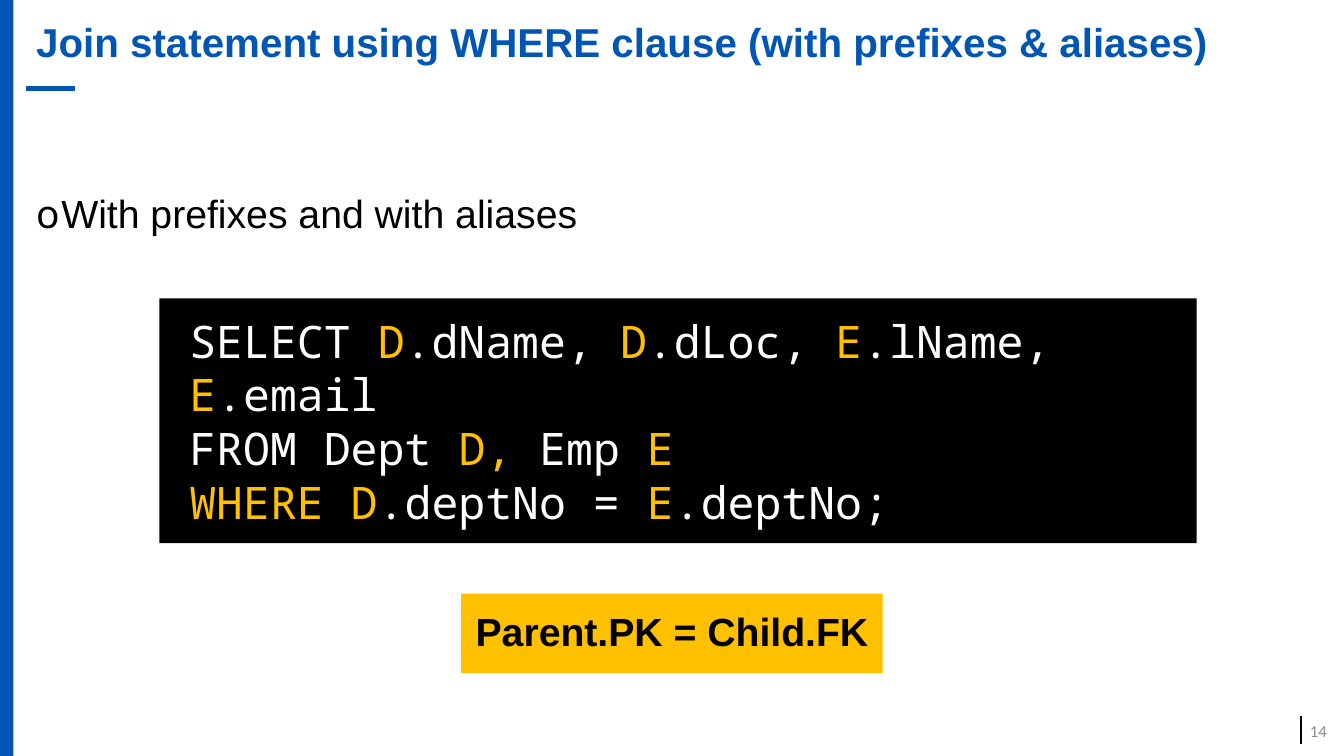
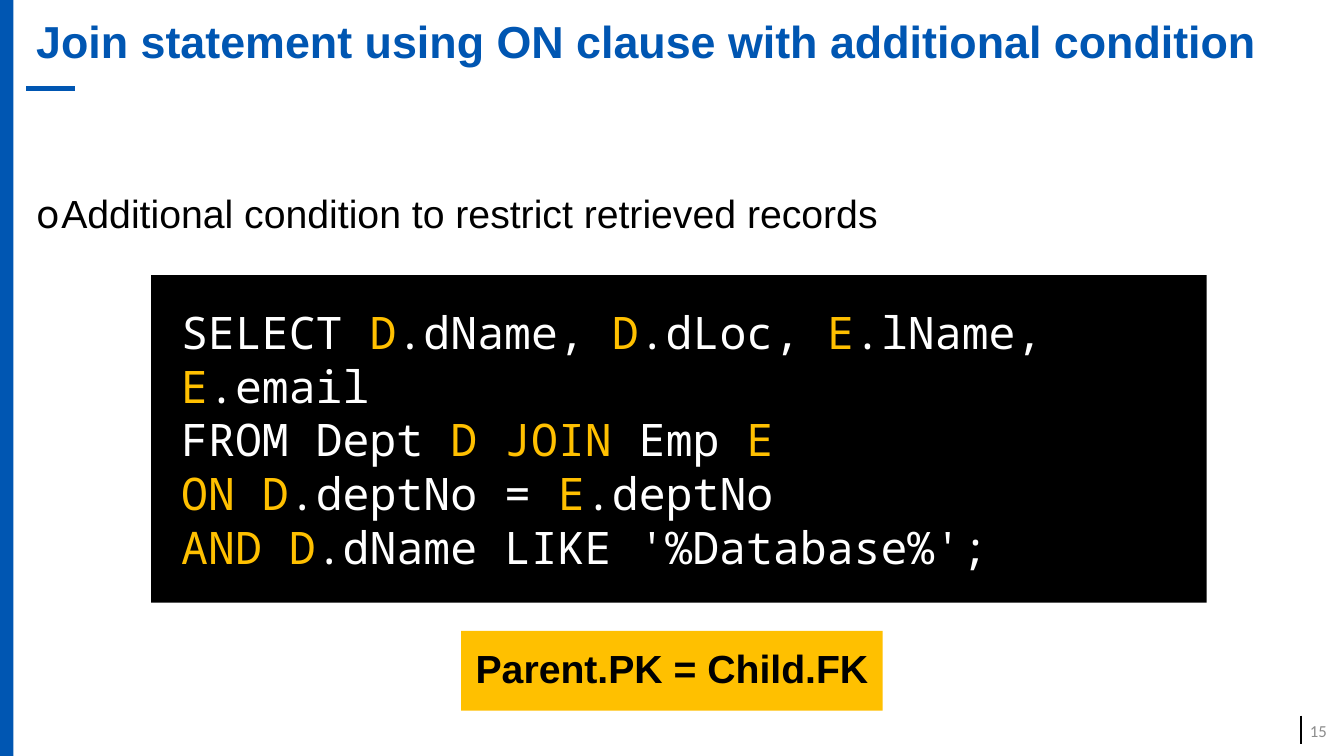
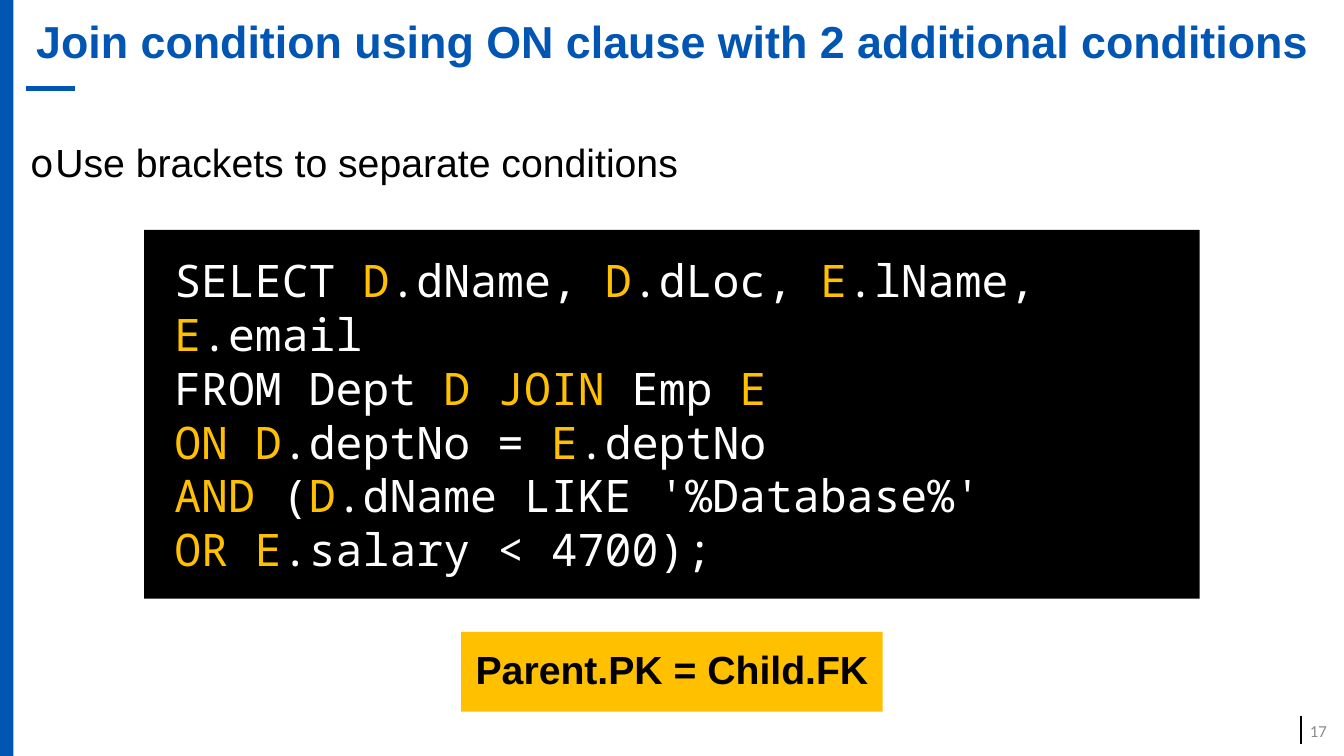
from dataclasses import dataclass
from typing import Any, NamedTuple

from lxml import etree
from pptx import Presentation
from pptx import util as u
from pptx.dml.color import RGBColor
from pptx.enum import shapes, text
from pptx.oxml import ns

WIDTH, HEIGHT = u.Inches(13.33), u.Inches(7.5)

BLUE = RGBColor(0x00, 0x56, 0xB2)
AMBER = RGBColor(0xFF, 0xC0, 0x00)
BLACK = RGBColor(0x00, 0x00, 0x00)
WHITE = RGBColor(0xFF, 0xFF, 0xFF)
GREY = RGBColor(0x8C, 0x8C, 0x8C)


class Box(NamedTuple):
    """Left, top, width and height in hundredths of the slide."""
    left: float
    top: float
    width: float
    height: float

    def lengths(self) -> list[int]:
        return [int(share * side / 100)
                for share, side in zip(self, (WIDTH, HEIGHT, WIDTH, HEIGHT))]


class Rule(NamedTuple):
    box: Box
    color: RGBColor
    weight: float


@dataclass(frozen=True)
class Style:
    font: dict[str, Any]
    color: RGBColor
    paragraph: dict[str, Any]
    anchor: text.MSO_ANCHOR = text.MSO_ANCHOR.MIDDLE
    highlight: RGBColor = AMBER
    indent: float = 0
    bullet: str = ""


@dataclass(frozen=True)
class JoinSlide:
    number: int
    title: str
    title_size: float
    point: str
    point_at: tuple[float, float]
    code: list[str]
    code_box: Box
    key_top: float


LEFT_TEXT = {"alignment": text.PP_ALIGN.LEFT}
TITLE = Style({"name": "Arial", "bold": True}, BLUE, {**LEFT_TEXT, "line_spacing": 0.9})
POINT = Style({"name": "Arial", "size": u.Pt(28)}, BLACK, {**LEFT_TEXT, "line_spacing": 0.9},
              anchor=text.MSO_ANCHOR.TOP, indent=0.25, bullet="o")
CODE = Style({"name": "Noto Sans Mono", "size": u.Pt(32)}, WHITE, LEFT_TEXT, indent=0.2)
KEY = Style({"name": "Arial", "size": u.Pt(28), "bold": True}, BLACK,
            {"alignment": text.PP_ALIGN.CENTER, "line_spacing": 0.9})
NUMBER = Style({"name": "Calibri", "size": u.Pt(12)}, GREY,
               {"alignment": text.PP_ALIGN.RIGHT})

SIDE_BAND = Box(0, 0, 1, 100)
TITLE_BOX = Box(1.95, 0, 97.05, 11.73)
NUMBER_BOX = Box(96.32, 94, 3.15, 5.33)
POINT_SIZE = (97.05, 7.6)
KEY_SIZE = (31.36, 10.53)
RULES = [
    Rule(Box(96.77, 94.67, 0, 3.73), BLACK, 1.5),
    Rule(Box(1.95, 11.73, 3.6, 0), BLUE, 4),
]

MARK = "|"
SELECT = "SELECT |D|.dName, |D|.dLoc, |E|.lName, |E|.email"
JOIN = [SELECT, "FROM Dept |D JOIN| Emp |E", "|ON D|.deptNo = |E|.deptNo"]

JOIN_SLIDES = [
    JoinSlide(14, "Join statement using WHERE clause (with prefixes & aliases)", 28.8,
              "With prefixes and with aliases", (1.95, 25.07),
              [SELECT, "FROM Dept |D,| Emp |E", "|WHERE D|.deptNo = |E|.deptNo;"],
              Box(11.85, 39.47, 77.19, 32.4), 78.53),
    JoinSlide(15, "Join statement using ON clause with additional condition", 32,
              "Additional condition to restrict retrieved records", (1.95, 25.07),
              [*JOIN, "|AND D|.dName LIKE '%Database%';"],
              Box(11.25, 36.4, 78.54, 43.33), 83.47),
    JoinSlide(17, "Join condition using ON clause with 2 additional conditions", 32,
              "Use brackets to separate conditions", (1.5, 18.4),
              [*JOIN, "|AND| (|D|.dName LIKE '%Database%'", "|OR E|.salary < 4700);"],
              Box(10.73, 30.4, 78.54, 48.8), 83.6),
]


def apply_format(target: Any, values: dict[str, Any]) -> None:
    for name, value in values.items():
        setattr(target, name, value)


def set_indent(paragraph: Any, style: Style) -> None:
    properties = paragraph._p.get_or_add_pPr()
    margin = u.Inches(style.indent)
    properties.set("marL", str(margin))
    properties.set("indent", str(-margin if style.bullet else 0))
    if style.bullet:
        for tag, name, value in (("a:buFont", "typeface", "Noto Sans Mono"),
                                 ("a:buChar", "char", style.bullet)):
            etree.SubElement(properties, ns.qn(tag)).set(name, value)


def write(shape: Any, lines: list[str], style: Style) -> None:
    frame = shape.text_frame
    apply_format(frame, {"word_wrap": True, "vertical_anchor": style.anchor})
    for index, line in enumerate(lines):
        paragraph = frame.add_paragraph() if index else frame.paragraphs[0]
        set_indent(paragraph, style)
        apply_format(paragraph, style.paragraph)
        for position, piece in enumerate(line.split(MARK)):
            if piece:
                run = paragraph.add_run()
                run.text = piece
                apply_format(run.font, style.font)
                run.font.color.rgb = style.highlight if position % 2 else style.color


def add_text(slide: Any, box: Box, line: str, style: Style) -> Any:
    shape = slide.shapes.add_textbox(*box.lengths())
    write(shape, [line], style)
    return shape


def add_panel(slide: Any, box: Box, color: RGBColor) -> Any:
    shape = slide.shapes.add_shape(shapes.MSO_SHAPE.RECTANGLE, *box.lengths())
    shape.shadow.inherit = False
    shape.fill.solid()
    shape.fill.fore_color.rgb = color
    shape.line.fill.background()
    return shape


def add_rule(slide: Any, rule: Rule) -> None:
    left, top, width, height = rule.box.lengths()
    connector = slide.shapes.add_connector(
        shapes.MSO_CONNECTOR.STRAIGHT, left, top, left + width, top + height)
    connector.line.color.rgb = rule.color
    connector.line.width = u.Pt(rule.weight)
    etree.SubElement(connector._element.spPr, ns.qn("a:effectLst"))


def add_frame(slide: Any, content: JoinSlide) -> None:
    add_panel(slide, SIDE_BAND, BLUE)
    for rule in RULES:
        add_rule(slide, rule)
    title = add_text(slide, TITLE_BOX, content.title, TITLE)
    title.text_frame.paragraphs[0].runs[0].font.size = u.Pt(content.title_size)
    add_text(slide, NUMBER_BOX, str(content.number), NUMBER)


def add_join_slide(presentation: Any, content: JoinSlide) -> None:
    slide = presentation.slides.add_slide(presentation.slide_layouts[6])
    add_frame(slide, content)
    add_text(slide, Box(*content.point_at, *POINT_SIZE), content.point, POINT)
    write(add_panel(slide, content.code_box, BLACK), content.code, CODE)
    key_box = Box((100 - KEY_SIZE[0]) / 2, content.key_top, *KEY_SIZE)
    write(add_panel(slide, key_box, AMBER), ["Parent.PK = Child.FK"], KEY)


def main() -> None:
    presentation = Presentation()
    apply_format(presentation, {"slide_width": WIDTH, "slide_height": HEIGHT})
    for content in JOIN_SLIDES:
        add_join_slide(presentation, content)
    presentation.save("out.pptx")


if __name__ == "__main__":
    main()
